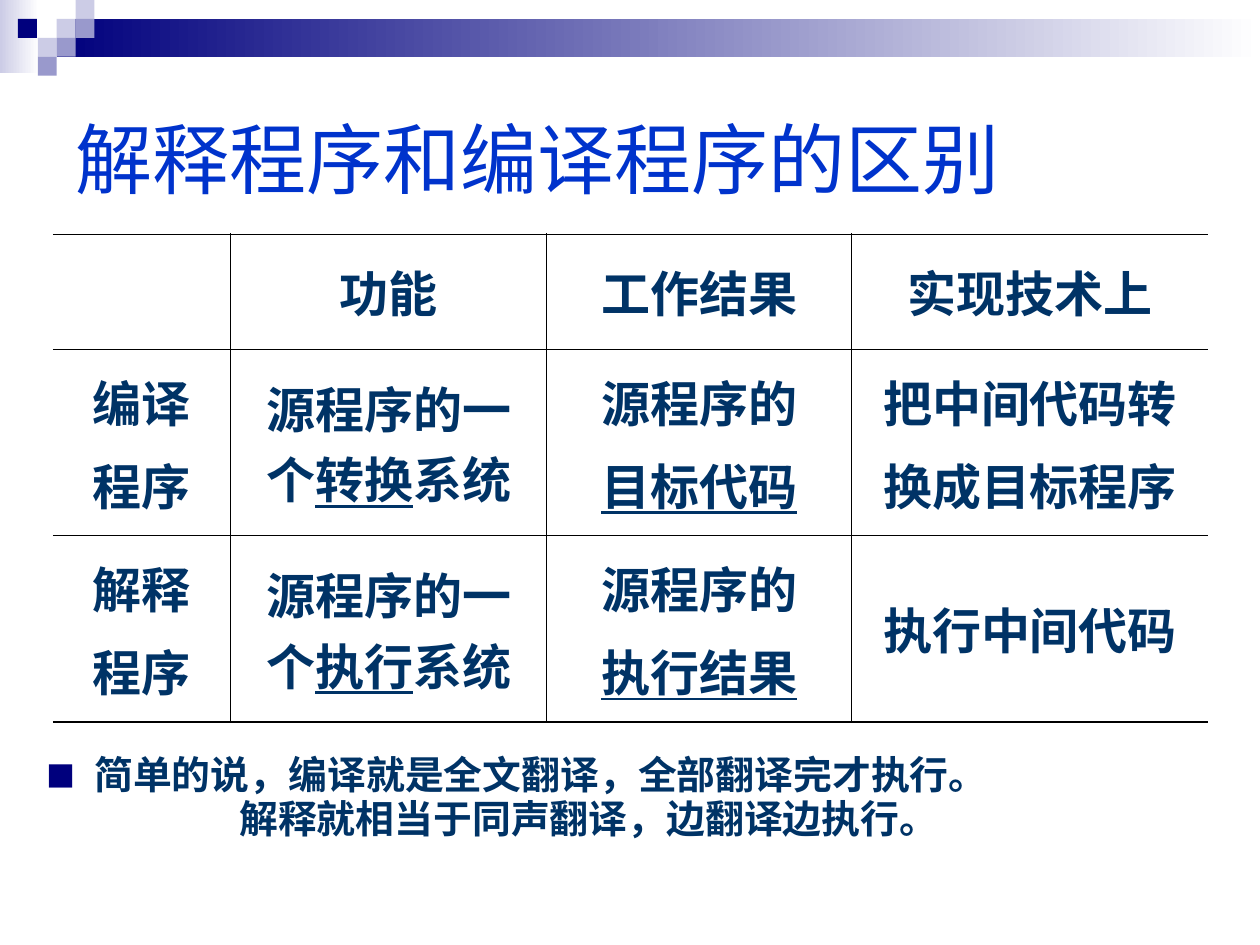
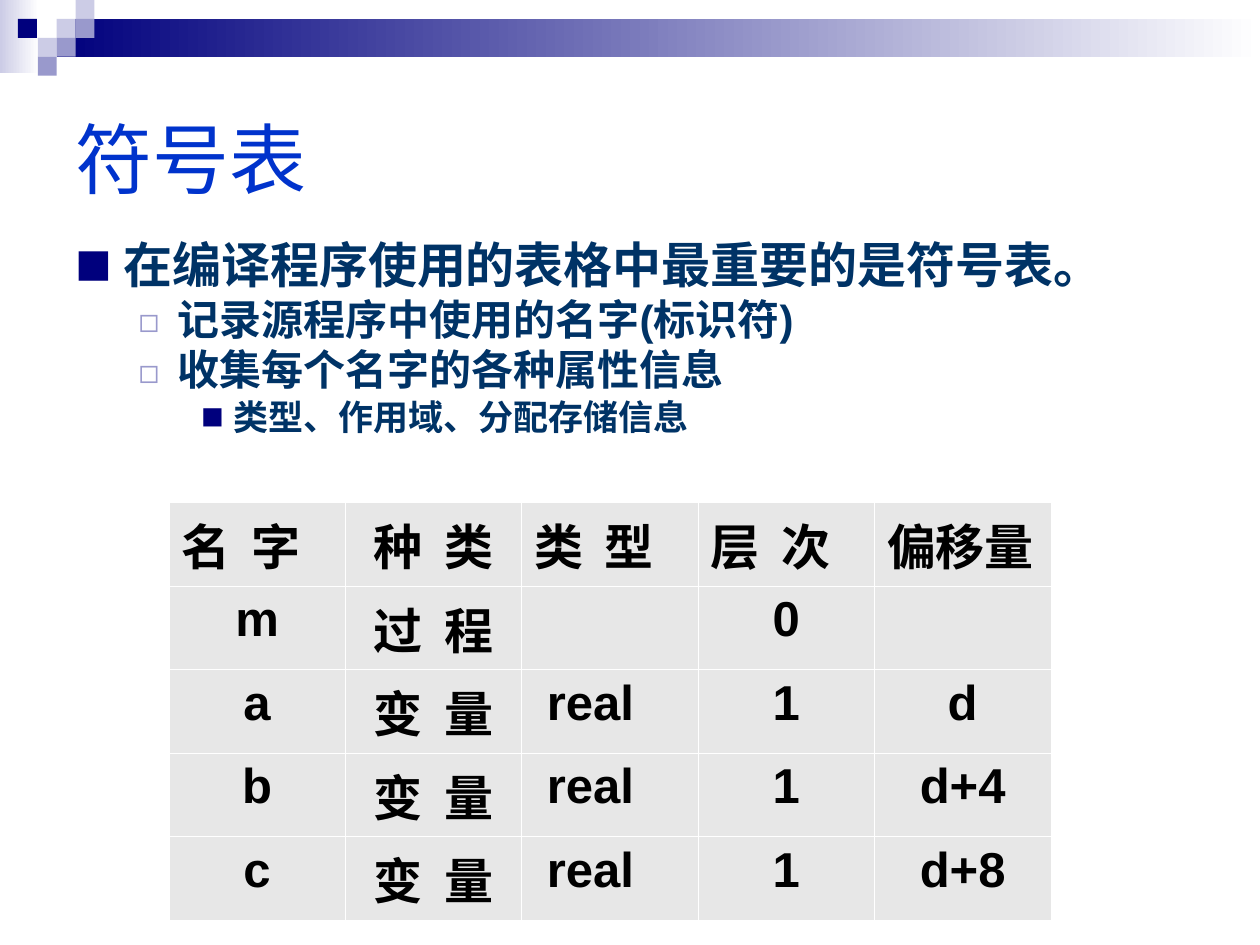
from dataclasses import dataclass
from lxml import etree
from pptx import Presentation
from pptx.dml.color import RGBColor
from pptx.enum.shapes import MSO_SHAPE
from pptx.enum.text import MSO_ANCHOR, MSO_AUTO_SIZE, PP_ALIGN
from pptx.oxml.ns import qn
from pptx.util import Inches, Pt

RECTANGLE = MSO_SHAPE.RECTANGLE
TOP, MIDDLE = MSO_ANCHOR.TOP, MSO_ANCHOR.MIDDLE
LEFT, CENTER, JUSTIFY = PP_ALIGN.LEFT, PP_ALIGN.CENTER, PP_ALIGN.JUSTIFY
NO_AUTOFIT = MSO_AUTO_SIZE.NONE


@dataclass(frozen=True)
class Theme:
    navy: str = "00007D"
    lilac: str = "9999CC"
    pale: str = "CCCCE6"
    title: str = "0033CC"
    text: str = "003366"
    black: str = "000000"
    white: str = "FFFFFF"
    cell: str = "E7E7E7"
    latin: str = "Arial"
    cjk: str = "Noto Sans CJK JP"
    title_size: float = 44
    level_sizes: tuple = (28, 24, 20)
    table_size: float = 28
    note_size: float = 22.2
    thin: float = 0.45
    thick: float = 1.08


THEME = Theme()
WIDTH, HEIGHT = 10, 7.5
TILE = 0.15
GRADIENT_BANDS = [
    ((0, 0, 0.31, 0.58), THEME.pale),
    ((3 * TILE, TILE, WIDTH - 3 * TILE, 2 * TILE), THEME.navy),
]
TILES = [
    (3, 1, THEME.pale), (4, 0, THEME.pale), (4, 1, THEME.lilac),
    (2, 2, THEME.pale), (0.95, 1, THEME.navy), (3, 2, THEME.lilac),
    (2, 3, THEME.lilac),
]

COMPARISON_TITLE = "解释程序和编译程序的区别"
COMPARISON = [
    [[], ["功能"], ["工作结果"], ["实现技术上"]],
    [["编译", "程序"], ["源程序的一个_转换_系统"],
     ["源程序的", "_目标代码_"], ["把中间代码转", "换成目标程序"]],
    [["解释", "程序"], ["源程序的一个_执行_系统"],
     ["源程序的", "_执行结果_"], ["执行中间代码"]],
]
COMPARISON_COLUMNS = [1.41, 2.51, 2.42, 2.83]
COMPARISON_ROWS = [0.91, 1.48, 1.48]
SUMMARY = [
    ("简单的说，编译就是全文翻译，全部翻译完才执行。", 0.38, -0.38),
    ("解释就相当于同声翻译，边翻译边执行。", 1.53, 0),
]

SYMBOLS_TITLE = "符号表"
SYMBOL_POINTS = [
    (0, "在编译程序使用的表格中最重要的是符号表。"),
    (1, "记录源程序中使用的名字(标识符)"),
    (1, "收集每个名字的各种属性信息"),
    (2, "类型、作用域、分配存储信息"),
]
LEVELS = [
    (0.38, -0.38, "■", THEME.navy, 75),
    (0.81, -0.31, "◻", THEME.lilac, 80),
    (1.25, -0.25, "■", THEME.navy, 65),
]
SYMBOLS = [
    ["名 字", "种 类", "类 型", "层 次", "偏移量"],
    ["m", "过 程", "", "0", ""],
    ["a", "变 量", "real", "1", "d"],
    ["b", "变 量", "real", "1", "d+4"],
    ["c", "变 量", "real", "1", "d+8"],
]


def place(shape, *box):
    shape.left, shape.top, shape.width, shape.height = map(Inches, box)


def style(paragraph, size, color, bold=True, align=LEFT, latin=THEME.latin):
    paragraph.alignment = align
    font = paragraph.font
    font.size, font.bold, font.name = Pt(size), bold, latin
    font.color.rgb = RGBColor.from_string(color)


def indent(paragraph, left, first=0):
    properties = paragraph._p.get_or_add_pPr()
    properties.set("marL", str(Inches(left)))
    properties.set("indent", str(Inches(first)))
    return properties


def add_bullet(paragraph, left, first, mark, color, percent):
    properties = indent(paragraph, left, first)
    tint = etree.SubElement(properties, qn("a:buClr"))
    etree.SubElement(tint, qn("a:srgbClr"), val=color)
    etree.SubElement(properties, qn("a:buSzPct"), val=str(percent * 1000))
    etree.SubElement(properties, qn("a:buFont"), typeface=THEME.cjk)
    etree.SubElement(properties, qn("a:buChar"), char=mark)


def paragraphs_for(frame, count):
    return [frame.paragraphs[0]] + [frame.add_paragraph() for _ in range(count - 1)]


def set_borders(cell, borders):
    properties = cell._tc.get_or_add_tcPr()
    for position, (side, (color, width)) in enumerate(borders.items()):
        line = etree.Element(qn(f"a:ln{side}"), w=str(Pt(width)))
        if color:
            fill = etree.SubElement(line, qn("a:solidFill"))
            etree.SubElement(fill, qn("a:srgbClr"), val=color)
        else:
            etree.SubElement(line, qn("a:noFill"))
        properties.insert(position, line)


def add_grid(slide, left, top, columns, rows):
    frame = slide.shapes.add_table(
        len(rows), len(columns), Inches(left), Inches(top),
        Inches(sum(columns)), Inches(sum(rows)))
    table = frame.table
    table.first_row = table.horz_banding = False
    for column, width in zip(table.columns, columns):
        column.width = Inches(width)
    for row, height in zip(table.rows, rows):
        row.height = Inches(height)
    return table


def decorate_master(prs, slide):
    blocks = GRADIENT_BANDS + [
        ((column * TILE, row * TILE, TILE, TILE), color)
        for column, row, color in TILES]
    for order, (box, color) in enumerate(blocks):
        block = slide.shapes.add_shape(RECTANGLE, *map(Inches, box))
        block.shadow.inherit = False
        block.line.fill.background()
        if order < len(GRADIENT_BANDS):
            block.fill.gradient()
            block.fill.gradient_angle = 0
            for stop, tint in zip(block.fill.gradient_stops, (color, THEME.white)):
                stop.color.rgb = RGBColor.from_string(tint)
        else:
            block.fill.solid()
            block.fill.fore_color.rgb = RGBColor.from_string(color)
        block._element.nvSpPr.cNvPr.set("id", str(100 + order))
        prs.slide_master.shapes._spTree.insert(2 + order, block._element)


def add_title(slide, text):
    title = slide.shapes.title
    place(title, 0.5, 0.5, 9, 1.5)
    title.text_frame.text = text
    title.text_frame.vertical_anchor = MIDDLE
    title.text_frame.auto_size = NO_AUTOFIT
    style(title.text_frame.paragraphs[0], THEME.title_size, THEME.title, bold=False)


def fill_comparison(slide):
    table = add_grid(slide, 0.42, 1.86, COMPARISON_COLUMNS, COMPARISON_ROWS)
    last_row, last_column = len(COMPARISON_ROWS) - 1, len(COMPARISON_COLUMNS) - 1
    thin, thick = (THEME.black, THEME.thin), (THEME.black, THEME.thick)
    open_side = (None, THEME.thin)
    for r, row in enumerate(COMPARISON):
        for c, lines in enumerate(row):
            cell = table.cell(r, c)
            cell.vertical_anchor = MIDDLE
            cell.fill.background()
            set_borders(cell, {
                "L": thin if c else open_side,
                "R": thin if c < last_column else open_side,
                "T": thin if r else thick,
                "B": thin if r < last_row else thick,
            })
            for order, line in enumerate(lines):
                paragraph = paragraphs_for(cell.text_frame, 1)[0] if order == 0 \
                    else cell.text_frame.add_paragraph()
                paragraph.space_before = Pt(7 if order else 0)
                style(paragraph, THEME.table_size, THEME.text, align=CENTER)
                for piece, words in enumerate(line.split("_")):
                    if words:
                        run = paragraph.add_run()
                        run.text = words
                        if piece % 2:
                            run.font.underline = True


def add_summary(slide):
    frame = slide.shapes.add_textbox(*map(Inches, (0.27, 5.93, 9.29, 1.17))).text_frame
    frame.word_wrap = True
    lines = paragraphs_for(frame, len(SUMMARY))
    for order, (paragraph, (text, left, first)) in enumerate(zip(lines, SUMMARY)):
        paragraph.text = text
        paragraph.line_spacing = 0.96
        if order == 0:
            add_bullet(paragraph, left, first, *LEVELS[0][2:])
        else:
            indent(paragraph, left, first)
        style(paragraph, THEME.note_size, THEME.text)


def fill_points(slide):
    body = slide.placeholders[1]
    place(body, 0.5, 1.86, 9, 2.2)
    frame = body.text_frame
    frame.vertical_anchor = TOP
    frame.auto_size = NO_AUTOFIT
    lines = paragraphs_for(frame, len(SYMBOL_POINTS))
    for order, (paragraph, (level, text)) in enumerate(zip(lines, SYMBOL_POINTS)):
        paragraph.text = text
        paragraph.level = level
        paragraph.line_spacing = 0.9
        paragraph.space_before = Pt(3 if order else 0)
        add_bullet(paragraph, *LEVELS[level])
        style(paragraph, THEME.level_sizes[level], THEME.text)


def fill_symbols(slide):
    columns, rows = len(SYMBOLS[0]), len(SYMBOLS)
    table = add_grid(slide, 1.34, 3.99, [1.4] * columns, [0.66] * rows)
    for r, row in enumerate(SYMBOLS):
        for c, text in enumerate(row):
            cell = table.cell(r, c)
            cell.fill.solid()
            cell.fill.fore_color.rgb = RGBColor.from_string(THEME.cell)
            set_borders(cell, dict.fromkeys("LRTB", (THEME.white, THEME.thin)))
            if not text:
                continue
            paragraph = cell.text_frame.paragraphs[0]
            paragraph.text = text
            if text == "real":
                indent(paragraph, 0.1)
            if " " in text:
                paragraph.runs[0]._r.get_or_add_rPr().set("spc", "300")
            justified = c == 2 or (r == 0 and c != 1)
            style(paragraph, THEME.table_size, THEME.black,
                  align=JUSTIFY if justified else CENTER,
                  latin=THEME.latin if r else THEME.cjk)


def main():
    prs = Presentation()
    prs.slide_width, prs.slide_height = Inches(WIDTH), Inches(HEIGHT)
    content_layout, title_only = prs.slide_layouts[1], prs.slide_layouts[5]

    comparison = prs.slides.add_slide(title_only)
    decorate_master(prs, comparison)
    add_title(comparison, COMPARISON_TITLE)
    fill_comparison(comparison)
    add_summary(comparison)

    symbols = prs.slides.add_slide(content_layout)
    add_title(symbols, SYMBOLS_TITLE)
    fill_points(symbols)
    fill_symbols(symbols)

    prs.save("out.pptx")


if __name__ == "__main__":
    main()
